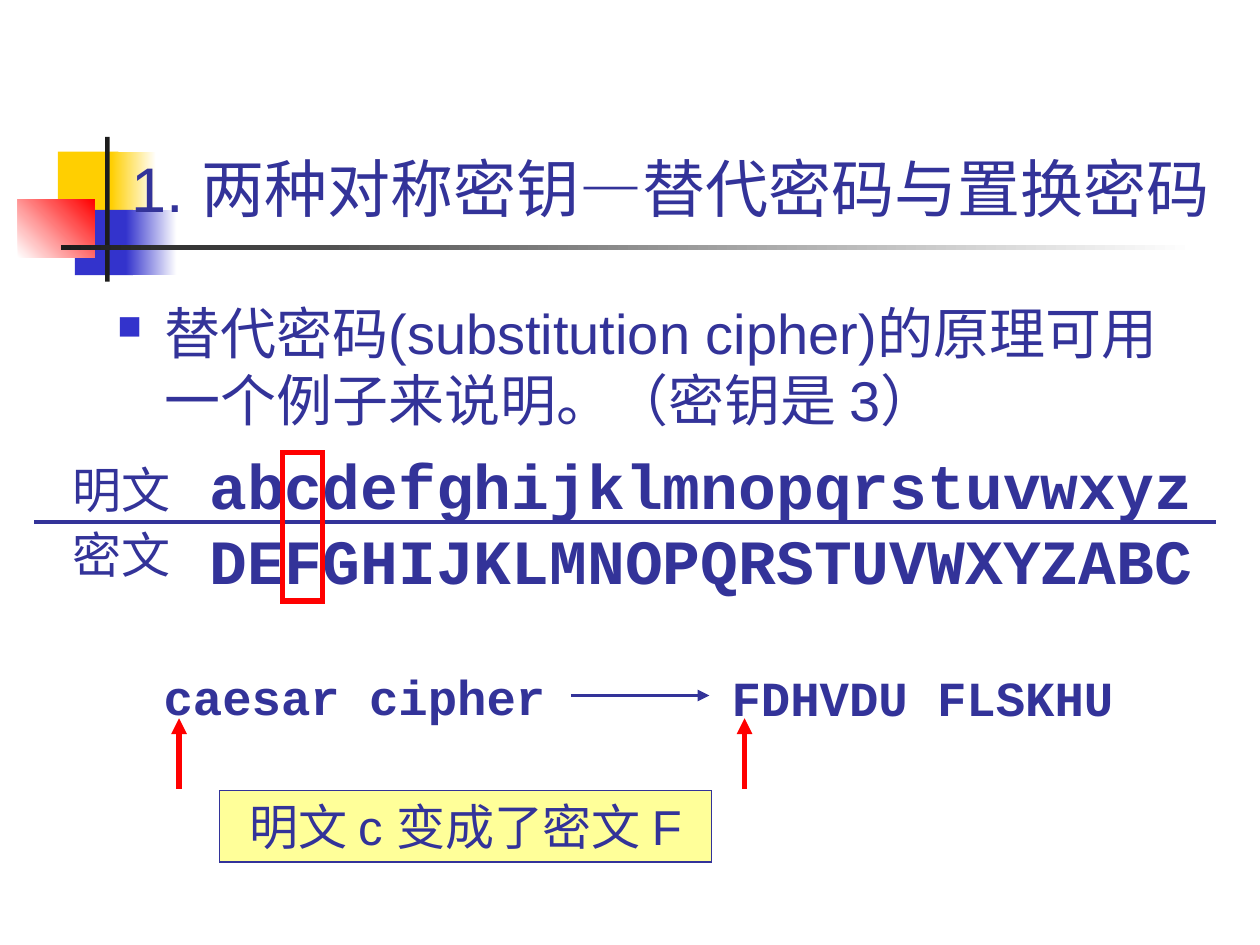
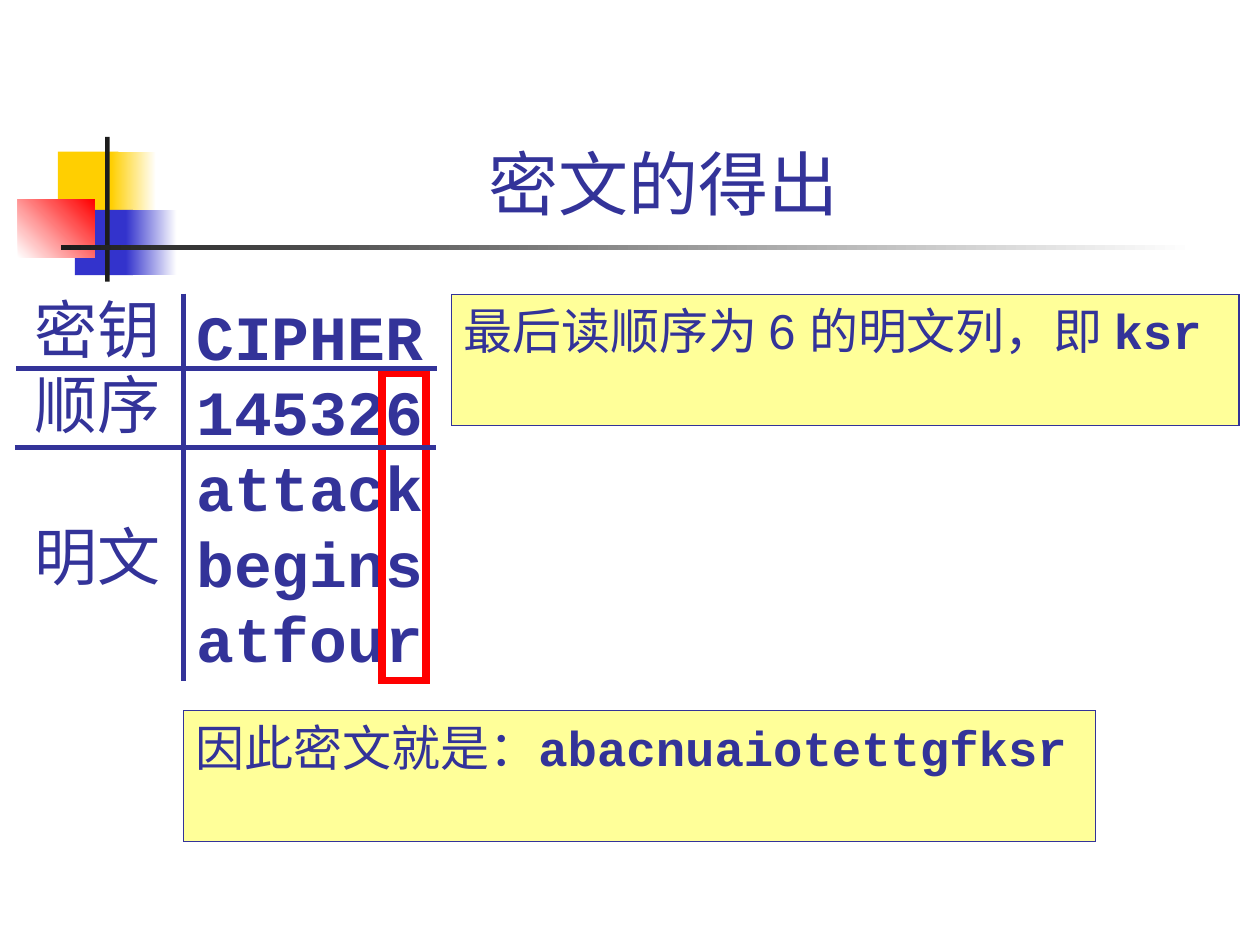
from dataclasses import dataclass
from typing import NamedTuple, Optional

from lxml import etree
from pptx import Presentation
from pptx.dml.color import RGBColor
from pptx.enum.shapes import MSO_CONNECTOR, MSO_SHAPE
from pptx.enum.text import MSO_ANCHOR, PP_ALIGN
from pptx.oxml.ns import qn
from pptx.util import Cm, Pt

RECT = MSO_SHAPE.RECTANGLE
LINE = MSO_CONNECTOR.STRAIGHT
LEFT, MID = PP_ALIGN.LEFT, PP_ALIGN.CENTER
TOP, BASE = MSO_ANCHOR.TOP, MSO_ANCHOR.BOTTOM


@dataclass(frozen=True)
class Theme:
    ink: str = "333399"
    blue: str = "3333CC"
    gold: str = "FFCF01"
    red: str = "FF0000"
    dark: str = "1C1C1C"
    pale: str = "FFFF99"
    white: str = "FFFFFF"
    sans: str = "Arial"
    mono: str = "Courier New"
    label: str = "Cabin"
    head: int = 40
    big: int = 36
    body: int = 32
    small: int = 28


T = Theme()


class Box(NamedTuple):
    x: float
    y: float
    w: float
    h: float


class Band(NamedTuple):
    box: Box
    start: str
    end: Optional[str] = None
    angle: int = 0


class Rule(NamedTuple):
    x1: float
    y1: float
    x2: float
    y2: float
    width: float = 3
    color: str = T.ink
    arrow: bool = False


class Style(NamedTuple):
    size: int
    font: str = T.sans
    bold: bool = False
    align: PP_ALIGN = LEFT
    wrap: bool = False
    anchor: MSO_ANCHOR = TOP
    space: Optional[float] = None


BANDS = (
    Band(Box(1.17, 3.06, 1.22, 1.32), T.gold),
    Band(Box(2.24, 3.06, 0.91, 1.32), T.gold, T.white),
    Band(Box(1.51, 4.23, 1.17, 1.32), T.blue),
    Band(Box(2.54, 4.23, 1.02, 1.32), T.blue, T.white),
    Band(Box(0.36, 4.02, 1.55, 1.17), T.white, T.red, 45),
    Band(Box(2.12, 2.76, 0.09, 2.92), T.dark),
    Band(Box(1.23, 4.94, 22.86, 0.1), T.dark, T.white),
)
MONO = Style(T.big, T.mono, True)
CODE = Style(T.small, T.mono, True)
NOTE = Style(T.small, wrap=True)


def rgb(code: str) -> RGBColor:
    return RGBColor.from_string(code)


def place(box: Box) -> list:
    return [Cm(v) for v in box]


def add_rect(slide, box: Box, fill: Optional[str] = None,
             line: Optional[str] = None, width: float = 0.75):
    shape = slide.shapes.add_shape(RECT, *place(box))
    shape.shadow.inherit = False
    if fill:
        shape.fill.solid()
        shape.fill.fore_color.rgb = rgb(fill)
    else:
        shape.fill.background()
    if line:
        shape.line.color.rgb = rgb(line)
        shape.line.width = Pt(width)
        join = etree.SubElement(shape.line._get_or_add_ln(), qn("a:miter"))
        join.set("lim", "800000")
    else:
        shape.line.fill.background()
    return shape


def add_band(slide, band: Band) -> None:
    shape = add_rect(slide, band.box, band.start)
    if band.end:
        shape.fill.gradient()
        shape.fill.gradient_angle = band.angle
        for stop, color, pos in zip(shape.fill.gradient_stops,
                                    (band.start, band.end), (0, 1)):
            stop.color.rgb = rgb(color)
            stop.position = pos


def add_rule(slide, rule: Rule) -> None:
    ends = [Cm(v) for v in (rule.x1, rule.y1, rule.x2, rule.y2)]
    link = slide.shapes.add_connector(LINE, *ends)
    link.line.color.rgb = rgb(rule.color)
    link.line.width = Pt(rule.width)
    if rule.arrow:
        tail = etree.SubElement(link.line._get_or_add_ln(), qn("a:tailEnd"))
        tail.set("type", "triangle")
    etree.SubElement(link._element.spPr, qn("a:effectLst"))


def write(shape, lines: tuple, style: Style, code: str = "") -> list:
    frame = shape.text_frame
    frame.word_wrap = style.wrap
    frame.vertical_anchor = style.anchor
    paras = []
    for i, line in enumerate(lines):
        para = frame.add_paragraph() if i else frame.paragraphs[0]
        para.alignment = style.align
        para.line_spacing = style.space
        font = para.font
        font.size = Pt(style.size)
        font.name = style.font
        font.bold = style.bold
        font.color.rgb = rgb(T.ink)
        para.add_run().text = line
        paras.append(para)
    if code:
        run = paras[-1].add_run()
        run.text = code
        run.font.name = T.mono
        run.font.bold = True
    return paras


def add_text(slide, box: Box, lines: tuple, style: Style) -> list:
    return write(slide.shapes.add_textbox(*place(box)), lines, style)


def add_note(slide, box: Box, text: str, style: Style, code: str = "") -> None:
    write(add_rect(slide, box, T.pale, T.ink), (text,), style, code)


def add_bullet(para) -> None:
    props = para._p.get_or_add_pPr()
    props.set("marL", str(Cm(0.95)))
    props.set("indent", str(Cm(-0.95)))
    para.space_before = Pt(8)
    color = etree.Element(qn("a:buClr"))
    etree.SubElement(color, qn("a:srgbClr")).set("val", T.blue)
    size = etree.Element(qn("a:buSzPct"))
    size.set("val", "60000")
    mark = etree.Element(qn("a:buChar"))
    mark.set("char", "■")
    last = props.find(qn("a:defRPr"))
    for part in (color, size, mark):
        last.addprevious(part)


def new_slide(deck, title: str, box: Box, size: int):
    slide = deck.slides.add_slide(deck.slide_layouts[6])
    for band in BANDS:
        add_band(slide, band)
    style = Style(size, align=MID, wrap=True, anchor=BASE)
    add_text(slide, box, (title,), style)
    return slide


def draw_shift(deck) -> None:
    slide = new_slide(deck, "1. 两种对称密钥—替代密码与置换密码",
                      Box(2.11, 0.6, 22.81, 4.06), T.big)
    body = add_text(
        slide, Box(2.11, 5.89, 22, 10.24),
        ("替代密码(substitution cipher)的原理可用一个例子来说明。（密钥是 3）",),
        Style(T.body, wrap=True))
    add_bullet(body[0])
    add_text(slide, Box(3.97, 8.87, 20.32, 3.3),
             ("abcdefghijklmnopqrstuvwxyz", "DEFGHIJKLMNOPQRSTUVWXYZABC"), MONO)
    add_text(slide, Box(3.05, 13.32, 8.2, 1.45), ("caesar cipher",), CODE)
    add_text(slide, Box(14.5, 13.33, 8.2, 1.45), ("FDHVDU FLSKHU",), CODE)
    add_text(slide, Box(1.22, 9.02, 2.8, 2.87), ("明文", "密文"),
             Style(T.small, T.label, wrap=True, space=1.1))
    add_rule(slide, Rule(11.51, 14.02, 14.3, 14.02, 2.25, arrow=True))
    add_rule(slide, Rule(0.69, 10.52, 24.51, 10.52, 2.25))
    add_rect(slide, Box(5.69, 9.12, 0.81, 3), line=T.red, width=3)
    for x in (3.61, 15.01):
        add_rule(slide, Rule(x, 15.9, x, 14.48, 3, T.red, True))
    add_note(slide, Box(4.42, 15.93, 9.93, 1.45), "明文 c 变成了密文 F",
             Style(T.small, align=MID))


def draw_result(deck) -> None:
    slide = new_slide(deck, "密文的得出", Box(1.91, 0.6, 22.94, 4.06), T.head)
    add_text(slide, Box(3.71, 5.87, 5.08, 7.87),
             ("CIPHER", "145326", "attack", "begins", "atfour"), MONO)
    add_rect(slide, Box(7.7, 7.52, 0.89, 6.2), line=T.red, width=4.5)
    names = add_text(slide, Box(0.45, 5.73, 3.2, 6.35),
                     ("密钥", "顺序", "明文"),
                     Style(T.big, T.label, wrap=True))
    names[-1].space_before = Pt(43.5)
    add_note(slide, Box(9.1, 5.94, 15.88, 2.64),
             "最后读顺序为 6 的明文列，即 ", NOTE, "ksr")
    for rule in (Rule(0.33, 7.43, 8.81, 7.43), Rule(0.3, 9.02, 8.79, 9.02),
                 Rule(3.7, 5.92, 3.7, 13.72)):
        add_rule(slide, rule)
    add_note(slide, Box(3.7, 14.33, 18.39, 2.64),
             "因此密文就是：", NOTE, "abacnuaiotettgfksr")


def main() -> None:
    deck = Presentation()
    deck.slide_width, deck.slide_height = Cm(25.4), Cm(19.05)
    draw_shift(deck)
    draw_result(deck)
    deck.save("out.pptx")


if __name__ == "__main__":
    main()
